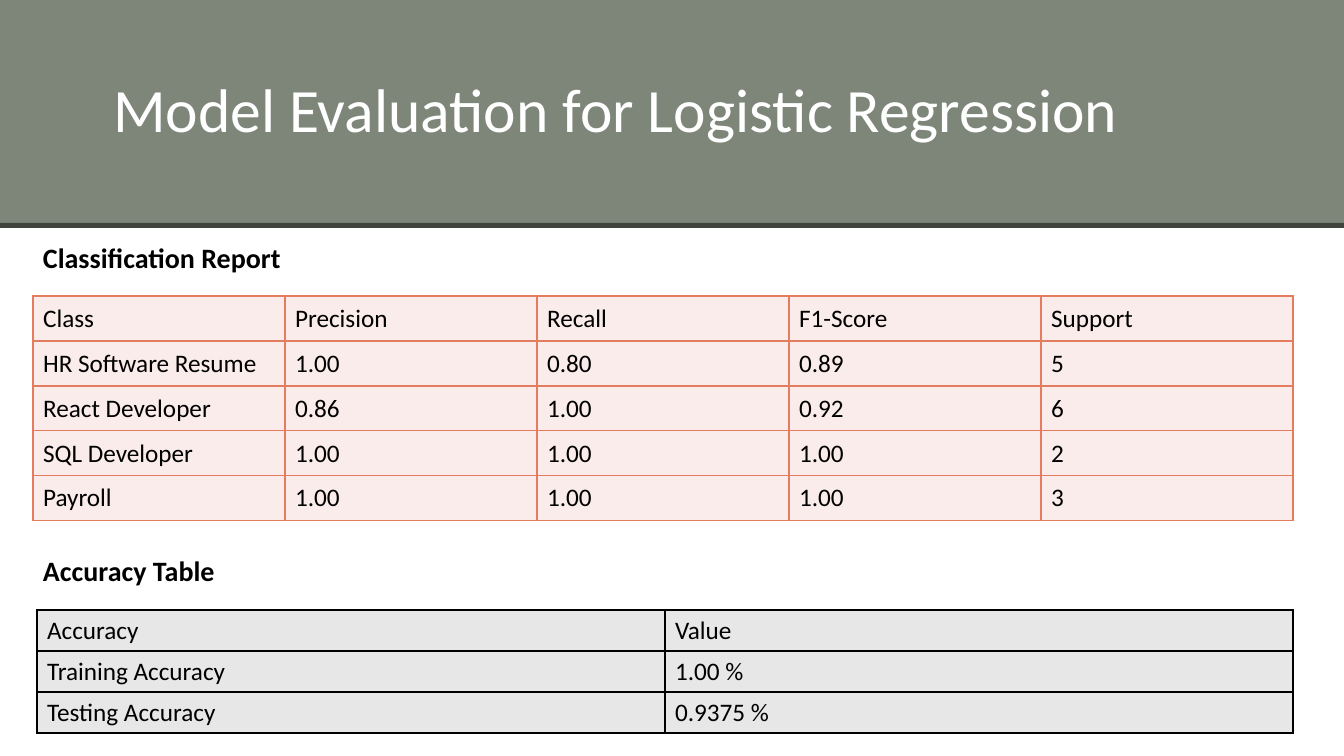
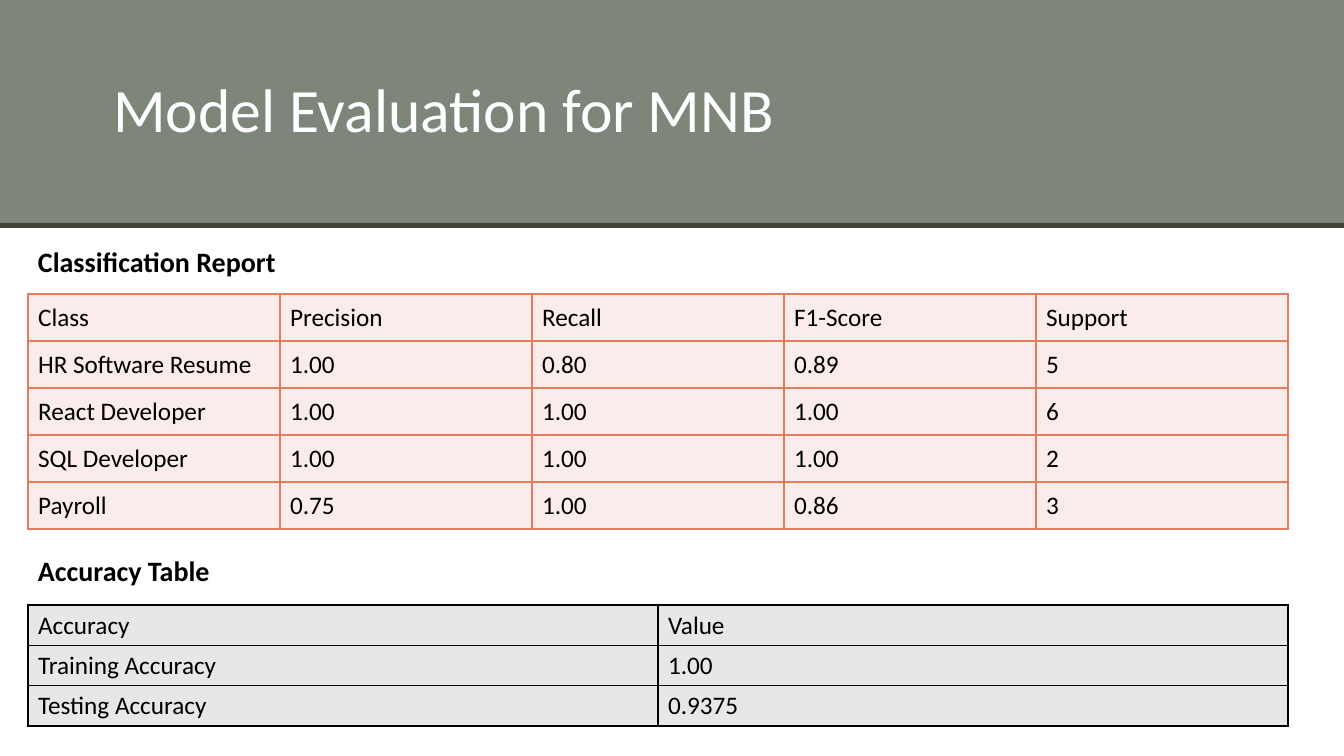
"""Build two slides that report model evaluation tables."""
from lxml import etree
from pptx import Presentation
from pptx import util as u
from pptx.dml.color import RGBColor
from pptx.enum import shapes, text
from pptx.oxml import ns

SCALE = 12192000 / 1344
COLOURS = {
    "band": "7E8679", "rule": "3F433C", "title": "FFFFFF", "text": "000000",
    "report_fill": "FAECEA", "report_line": "E47D60",
    "accuracy_fill": "E7E7E7", "accuracy_line": "000000",
}
BANDS = [("band", 0, 226), ("rule", 223, 5)]
FORMATS = {
    "title": {"size": u.Pt(44), "bold": False},
    "heading": {"size": u.Pt(20), "bold": True},
    "cell": {"size": u.Pt(18), "bold": False},
}
REPORT_HEAD = ["Class", "Precision", "Recall", "F1-Score", "Support"]
PAGES = [
    {
        "title": "Model Evaluation for Logistic Regression",
        "headings": [("Classification Report", 33, 236), ("Accuracy Table", 33, 549)],
        "tables": [
            ("accuracy", (37, 610, 1256, 41), [
                ["Accuracy", "Value"],
                ["Training Accuracy", "1.00 %"],
                ["Testing Accuracy", "0.9375 %"],
            ]),
            ("report", (33, 296, 1260, 45), [
                REPORT_HEAD,
                ["HR Software Resume", "1.00", "0.80", "0.89", "5"],
                ["React Developer", "0.86", "1.00", "0.92", "6"],
                ["SQL Developer", "1.00", "1.00", "1.00", "2"],
                ["Payroll", "1.00", "1.00", "1.00", "3"],
            ]),
        ],
    },
    {
        "title": "Model Evaluation for MNB",
        "headings": [("Classification Report", 28, 240), ("Accuracy Table", 28, 549)],
        "tables": [
            ("report", (28, 294, 1260, 47), [
                REPORT_HEAD,
                ["HR Software Resume", "1.00", "0.80", "0.89", "5"],
                ["React Developer", "1.00", "1.00", "1.00", "6"],
                ["SQL Developer", "1.00", "1.00", "1.00", "2"],
                ["Payroll", "0.75", "1.00", "0.86", "3"],
            ]),
            ("accuracy", (28, 605, 1260, 40), [
                ["Accuracy", "Value"],
                ["Training Accuracy", "1.00"],
                ["Testing Accuracy", "0.9375"],
            ]),
        ],
    },
]


def px(*lengths):
    """Turn px lengths into EMU."""
    return [u.Emu(round(length * SCALE)) for length in lengths]


def write(frame, words, style, colour="text"):
    """Put one formatted paragraph into a text frame."""
    para = frame.paragraphs[0]
    para.alignment = text.PP_ALIGN.LEFT
    span = para.add_run()
    span.text = words
    span.font.name = "Calibri"
    span.font.color.rgb = RGBColor.from_string(COLOURS[colour])
    for name, value in FORMATS[style].items():
        setattr(span.font, name, value)
    return para


deck = Presentation()
deck.slide_width, deck.slide_height = px(1344, 756)

for content in PAGES:
    page = deck.slides.add_slide(deck.slide_layouts[5])

    for order, (colour, top, height) in enumerate(BANDS):
        band = page.shapes.add_shape(
            shapes.MSO_SHAPE.RECTANGLE, *px(0, top, 1344, height))
        band.shadow.inherit = False
        band.fill.solid()
        band.fill.fore_color.rgb = RGBColor.from_string(COLOURS[colour])
        band.line.fill.background()
        page.shapes._spTree.insert(2 + order, band._element)

    title = page.shapes.title
    title.left, title.top, title.width, title.height = px(103, 25, 1050, 176)
    title.text_frame.vertical_anchor = text.MSO_ANCHOR.MIDDLE
    title.text_frame.auto_size = text.MSO_AUTO_SIZE.NONE
    write(title.text_frame, content["title"], "title", "title").line_spacing = 0.9

    for words, left, top in content["headings"]:
        box = page.shapes.add_textbox(*px(left, top, 388, 44))
        box.text_frame.word_wrap = True
        write(box.text_frame, words, "heading")

    for kind, (left, top, width, row_height), rows in content["tables"]:
        table = page.shapes.add_table(
            len(rows), len(rows[0]),
            *px(left, top, width, row_height * len(rows))).table
        table.first_row = table.horz_banding = False
        for column in table.columns:
            column.width = px(width / len(rows[0]))[0]
        for row, values in zip(table.rows, rows):
            row.height = px(row_height)[0]
            for cell, words in zip(row.cells, values):
                write(cell.text_frame, words, "cell")
                cell.vertical_anchor = text.MSO_ANCHOR.MIDDLE
                cell.fill.solid()
                cell.fill.fore_color.rgb = RGBColor.from_string(
                    COLOURS[kind + "_fill"])
                properties = cell._tc.get_or_add_tcPr()
                for order, side in enumerate("LRTB"):
                    border = etree.Element(ns.qn("a:ln" + side), w=str(u.Pt(1)))
                    paint = etree.SubElement(border, ns.qn("a:solidFill"))
                    etree.SubElement(
                        paint, ns.qn("a:srgbClr"), val=COLOURS[kind + "_line"])
                    properties.insert(order, border)

deck.save("out.pptx")
